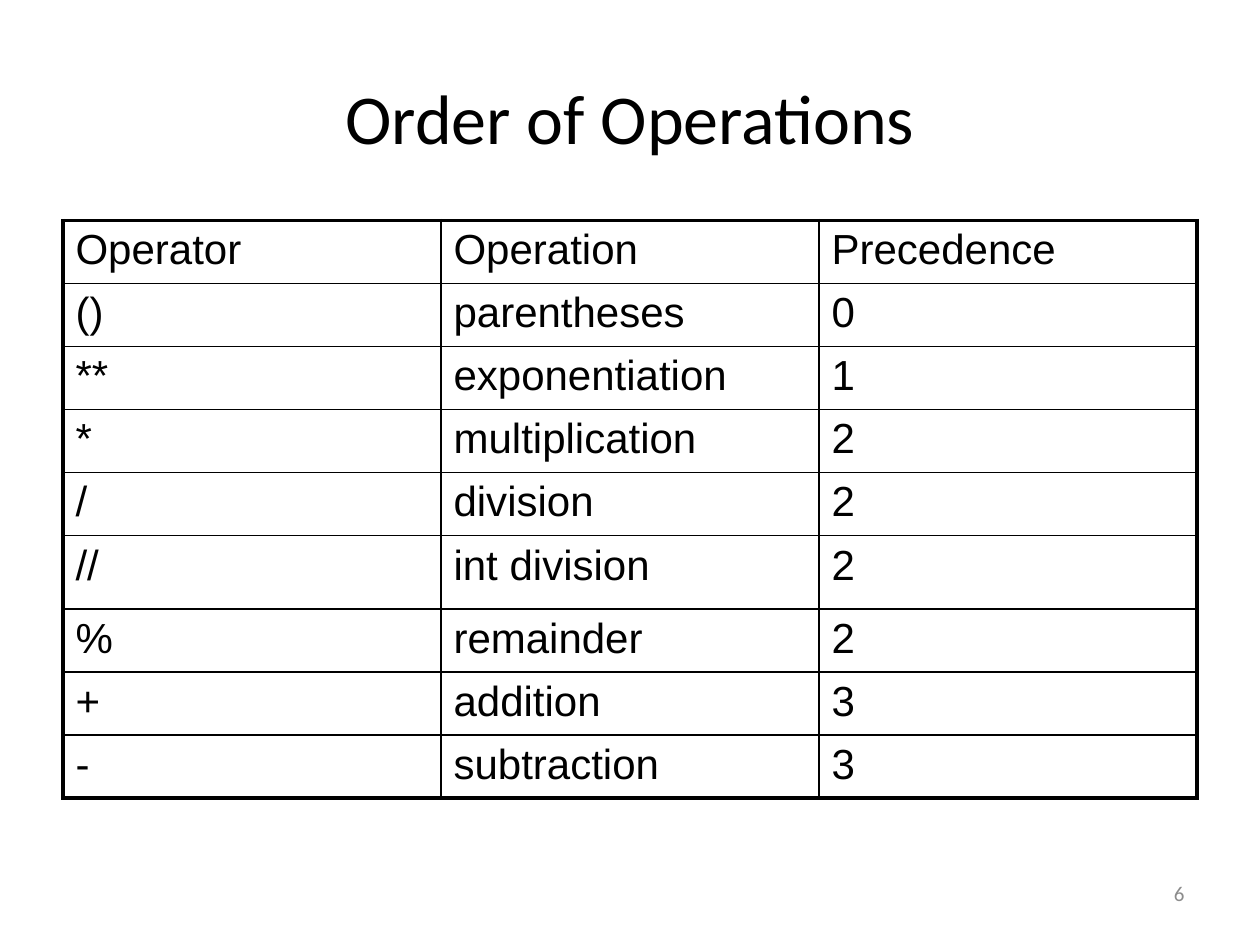
from lxml import etree
from pptx import Presentation
from pptx import util as u
from pptx.dml.color import RGBColor
from pptx.enum import text
from pptx.oxml.ns import qn

BLACK, GREY = "000000", "8C8C8C"
THIN, THICK = 1, 2.25
ROW_HEIGHT, TALL_ROW_HEIGHT = 0.49, 0.58
TALL_OPERATOR = "//"
OPERATORS = [
    ("Operator", "Operation", "Precedence"),
    ("()", "parentheses", "0"),
    ("**", "exponentiation", "1"),
    ("*", "multiplication", "2"),
    ("/", "division", "2"),
    ("//", "int division", "2"),
    ("%", "remainder", "2"),
    ("+", "addition", "3"),
    ("-", "subtraction", "3"),
]


def rgb(color):
    return RGBColor.from_string(color)


def inches(box):
    return [u.Inches(n) for n in box]


def write(tf, words, font, size, color, align):
    p = tf.paragraphs[0]
    p.alignment = align
    r = p.add_run()
    r.text = words
    r.font.name, r.font.size = font, u.Pt(size)
    r.font.color.rgb = rgb(color)
    return p


def add_title(slide, box, words):
    sp = slide.shapes.title
    sp.left, sp.top, sp.width, sp.height = inches(box)
    sp.text_frame.vertical_anchor = text.MSO_ANCHOR.MIDDLE
    write(sp.text_frame, words, "Calibri", 40, BLACK, text.PP_ALIGN.CENTER)


def add_page_number(slide, box, number):
    tf = slide.shapes.add_textbox(*inches(box)).text_frame
    tf.word_wrap = True
    tf.vertical_anchor = text.MSO_ANCHOR.MIDDLE
    write(tf, number, "Calibri", 12, GREY, text.PP_ALIGN.RIGHT)


def set_border(cell, side, width):
    tc_pr = cell._tc.get_or_add_tcPr()
    ln = etree.SubElement(tc_pr, qn(f"a:ln{side}"), w=str(u.Pt(width)))
    fill = etree.SubElement(ln, qn("a:solidFill"))
    etree.SubElement(fill, qn("a:srgbClr"), val=BLACK)


def set_space_before(p, percent):
    """Set paragraph spacing relative to the text size."""
    spacing = etree.SubElement(p._p.get_or_add_pPr(), qn("a:spcBef"))
    etree.SubElement(spacing, qn("a:spcPct"), val=str(percent * 1000))


def add_operator_table(slide, box, rows):
    """Draw a grid with thin inner lines and a thick outline."""
    n_rows, n_cols = len(rows), len(rows[0])
    table = slide.shapes.add_table(n_rows, n_cols, *inches(box)).table
    table.first_row = table.horz_banding = False
    for column in table.columns:
        column.width = u.Inches(box[2] / n_cols)
    for i, row in enumerate(rows):
        tall = row[0] == TALL_OPERATOR
        table.rows[i].height = u.Inches(TALL_ROW_HEIGHT if tall else ROW_HEIGHT)
        for j, words in enumerate(row):
            cell = table.cell(i, j)
            outer = {"L": j == 0, "R": j == n_cols - 1,
                     "T": i == 0, "B": i == n_rows - 1}
            for side, is_outer in outer.items():
                set_border(cell, side, THICK if is_outer else THIN)
            cell.fill.background()
            p = write(cell.text_frame, words, "Arial", 24, BLACK,
                      text.PP_ALIGN.LEFT)
            set_space_before(p, 20)


def main():
    prs = Presentation()
    prs.slide_width, prs.slide_height = u.Inches(10), u.Inches(7.5)
    slide = prs.slides.add_slide(prs.slide_layouts.get_by_name("Title Only"))
    add_page_number(slide, (7.17, 6.83, 2.33, 0.52), "6")
    add_title(slide, (0.5, 0.3, 9, 1.25), "Order of Operations")
    add_operator_table(slide, (0.5, 1.75, 9, 4.5), OPERATORS)
    prs.save("out.pptx")


if __name__ == "__main__":
    main()
